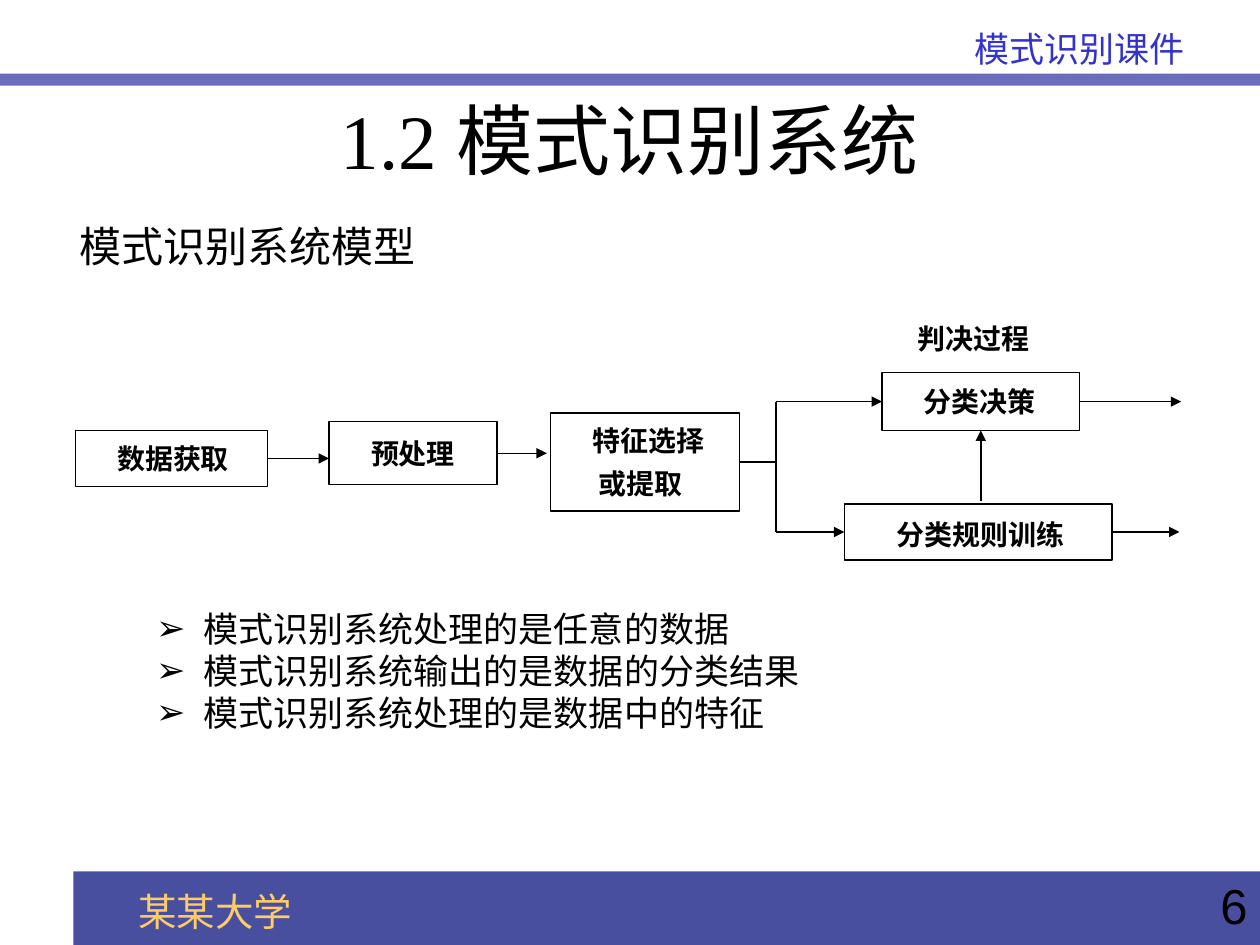
from lxml import etree
from pptx import Presentation
from pptx.dml.color import RGBColor
from pptx.enum.shapes import MSO_CONNECTOR, MSO_SHAPE
from pptx.enum.text import MSO_ANCHOR, MSO_AUTO_SIZE, PP_ALIGN
from pptx.oxml.ns import qn
from pptx.util import Pt

STRAIGHT = MSO_CONNECTOR.STRAIGHT
RECTANGLE = MSO_SHAPE.RECTANGLE
PROCESS = MSO_SHAPE.FLOWCHART_PROCESS
TOP, MIDDLE = MSO_ANCHOR.TOP, MSO_ANCHOR.MIDDLE
LEFT, CENTER, RIGHT = PP_ALIGN.LEFT, PP_ALIGN.CENTER, PP_ALIGN.RIGHT
JUSTIFY = PP_ALIGN.JUSTIFY
NO_AUTO_SIZE = MSO_AUTO_SIZE.NONE

SERIF, SANS, BRAND = "Times New Roman", "Arial", "Cabin"
BLACK = "000000"
DEFAULT_INSETS = (7.2, 3.6, 7.2, 3.6)
LABEL_INSETS = (0, 0, 0, 5.8)
LABEL_INDENT = 24
BOTTOM_SITE, LEFT_SITE, RIGHT_SITE = 2, 1, 3


def color(value):
    return RGBColor.from_string(value)


def place(shape, box):
    shape.left, shape.top, shape.width, shape.height = [Pt(value) for value in box]


def set_frame(shape, anchor=TOP, insets=DEFAULT_INSETS):
    frame = shape.text_frame
    frame.word_wrap = True
    frame.auto_size = NO_AUTO_SIZE
    frame.vertical_anchor = anchor
    (frame.margin_left, frame.margin_top,
     frame.margin_right, frame.margin_bottom) = [Pt(value) for value in insets]


def write(shape, lines, size, font=SERIF, fill=BLACK, align=LEFT, bold=False,
          margin=0, indent=0, spacing=1.0, bullet=None):
    frame = shape.text_frame
    for index, line in enumerate(lines):
        paragraph = frame.add_paragraph() if index else frame.paragraphs[0]
        paragraph.alignment = align
        paragraph.line_spacing = spacing
        paragraph.space_before = Pt(0)
        properties = paragraph._p.get_or_add_pPr()
        properties.set("marL", str(Pt(margin)))
        properties.set("indent", str(Pt(indent)))
        if bullet:
            etree.SubElement(properties, qn("a:buChar")).set("char", bullet)
        else:
            etree.SubElement(properties, qn("a:buNone"))
        run = paragraph.add_run()
        run.text = line
        run.font.size = Pt(size)
        run.font.name = font
        run.font.bold = bold
        run.font.color.rgb = color(fill)


def fill_placeholder(shape, box, lines, anchor=TOP, **style):
    place(shape, box)
    set_frame(shape, anchor)
    write(shape, lines, **style)


def add_text(slide, box, text, insets=DEFAULT_INSETS, **style):
    shape = slide.shapes.add_textbox(*[Pt(value) for value in box])
    set_frame(shape, insets=insets)
    write(shape, [text], **style)


def add_bar(slide, box, fill):
    shape = slide.shapes.add_shape(RECTANGLE, *[Pt(value) for value in box])
    shape.shadow.inherit = False
    shape.fill.solid()
    shape.fill.fore_color.rgb = color(fill)
    shape.line.fill.background()


def add_step(slide, box, lines, insets=LABEL_INSETS):
    shape = slide.shapes.add_shape(PROCESS, *[Pt(value) for value in box])
    shape.shadow.inherit = False
    shape.fill.background()
    shape.line.color.rgb = color(BLACK)
    shape.line.width = Pt(0.75)
    set_frame(shape, MIDDLE, insets)
    write(shape, lines, size=16, font=SANS, bold=True,
          indent=LABEL_INDENT, spacing=1.3)
    return shape


def add_line(slide, start, end, source=None, target=None, arrow=True):
    ends = [Pt(value) for value in (*start, *end)]
    connector = slide.shapes.add_connector(STRAIGHT, *ends)
    connector.line.color.rgb = color(BLACK)
    connector.line.width = Pt(0.75)
    if arrow:
        line = connector.line._get_or_add_ln()
        etree.SubElement(line, qn("a:tailEnd")).set("type", "triangle")
    etree.SubElement(connector._element.spPr, qn("a:effectLst"))
    if source:
        connector.begin_connect(*source)
    if target:
        connector.end_connect(*target)


def add_page_frame(slide):
    add_bar(slide, (42, 498, 678, 42), "494F9F")
    add_bar(slide, (0, 42, 720, 7), "686EBA")
    add_text(slide, (72, 504, 360, 34), "某某大学", size=22, font=BRAND, fill="FFCC66")
    add_text(slide, (252, 12, 432, 32), "模式识别课件", size=20, font=BRAND,
             fill="3333CC", align=RIGHT)
    add_text(slide, (673, 497, 47, 37), "6", size=28, font=SANS, align=RIGHT)


def add_flow(slide):
    add_text(slide, (500.5, 178, 95, 31), "判决过程", LABEL_INSETS, size=16, bold=True,
             align=JUSTIFY, indent=LABEL_INDENT, spacing=1.3)
    training = add_step(slide, (482.5, 288, 153, 32), ["分类规则训练"],
                        (5.8, 2.9, 5.8, 5.8))
    decision = add_step(slide, (504, 213, 113, 33), ["分类决策"])
    acquisition = add_step(slide, (43, 246, 110, 32), ["数据获取"])
    preprocessing = add_step(slide, (188, 241, 96, 36), ["预处理"])
    extraction = add_step(slide, (314.5, 236, 108, 56), ["特征选择", " 或提取"])

    trunk_x, upper_y, lower_y = 443.5, 229.5, 304
    add_line(slide, (153, 262), (188, 262), source=(acquisition, RIGHT_SITE))
    add_line(slide, (284, 259), (312.5, 259), source=(preprocessing, RIGHT_SITE))
    add_line(slide, (422.5, 264), (trunk_x, 264), source=(extraction, RIGHT_SITE),
             arrow=False)
    add_line(slide, (trunk_x, upper_y), (trunk_x, lower_y), arrow=False)
    for step, y, output_x in ((decision, upper_y, 675), (training, lower_y, 674)):
        left = step.left.pt
        right = left + step.width.pt
        add_line(slide, (trunk_x, y), (left, y), target=(step, LEFT_SITE))
        add_line(slide, (right, y), (output_x, y), source=(step, RIGHT_SITE))
    add_line(slide, (560.5, 286.5), (560.5, 246), target=(decision, BOTTOM_SITE))


def main():
    presentation = Presentation()
    presentation.slide_width, presentation.slide_height = Pt(720), Pt(540)
    slide = presentation.slides.add_slide(presentation.slide_layouts[3])
    title, subtitle, findings = slide.placeholders
    add_page_frame(slide)
    fill_placeholder(title, (54, 48, 612, 63), ["1.2 模式识别系统"], MIDDLE,
                     size=44, align=CENTER)
    fill_placeholder(subtitle, (38, 122.5, 384.5, 45), ["模式识别系统模型"], size=24)
    add_flow(slide)
    fill_placeholder(findings, (82, 343.5, 385, 80),
                     ["模式识别系统处理的是任意的数据",
                      "模式识别系统输出的是数据的分类结果",
                      "模式识别系统处理的是数据中的特征"],
                     size=20, margin=27, indent=-27, bullet="➢")
    presentation.save("out.pptx")


if __name__ == "__main__":
    main()
